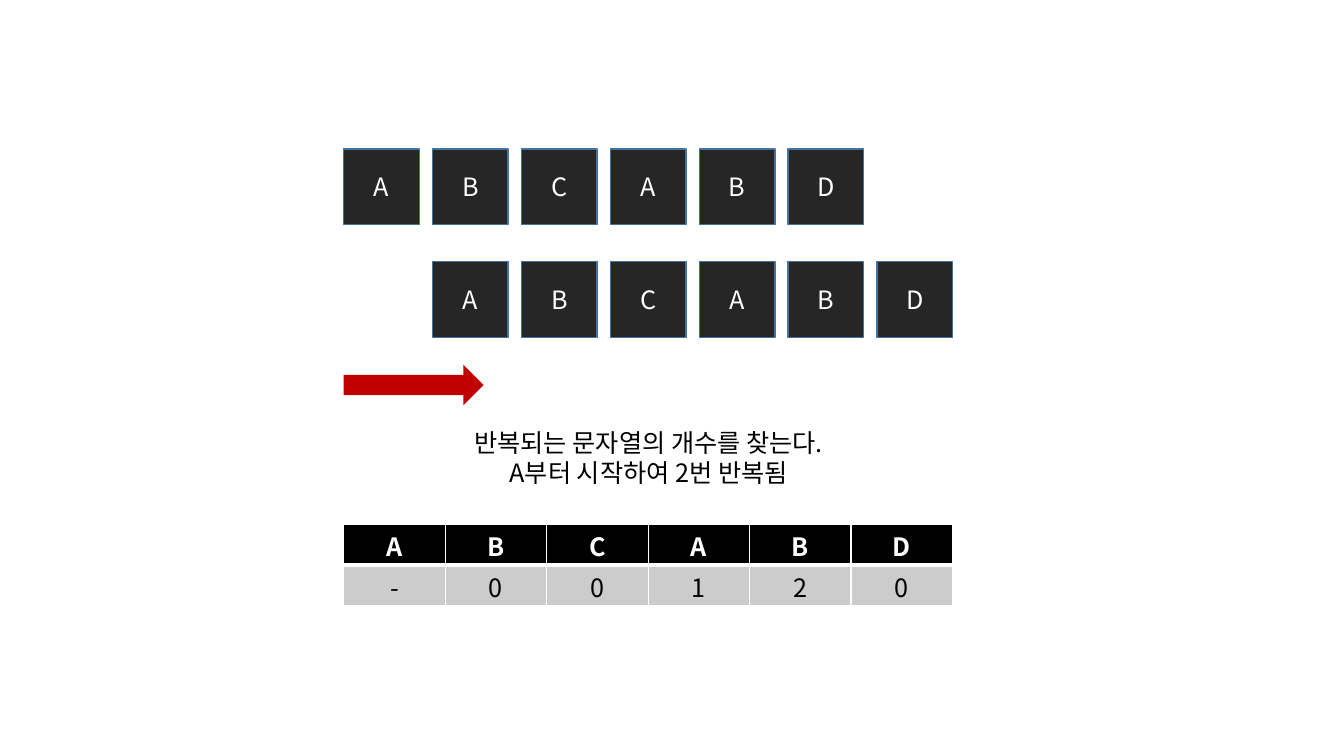
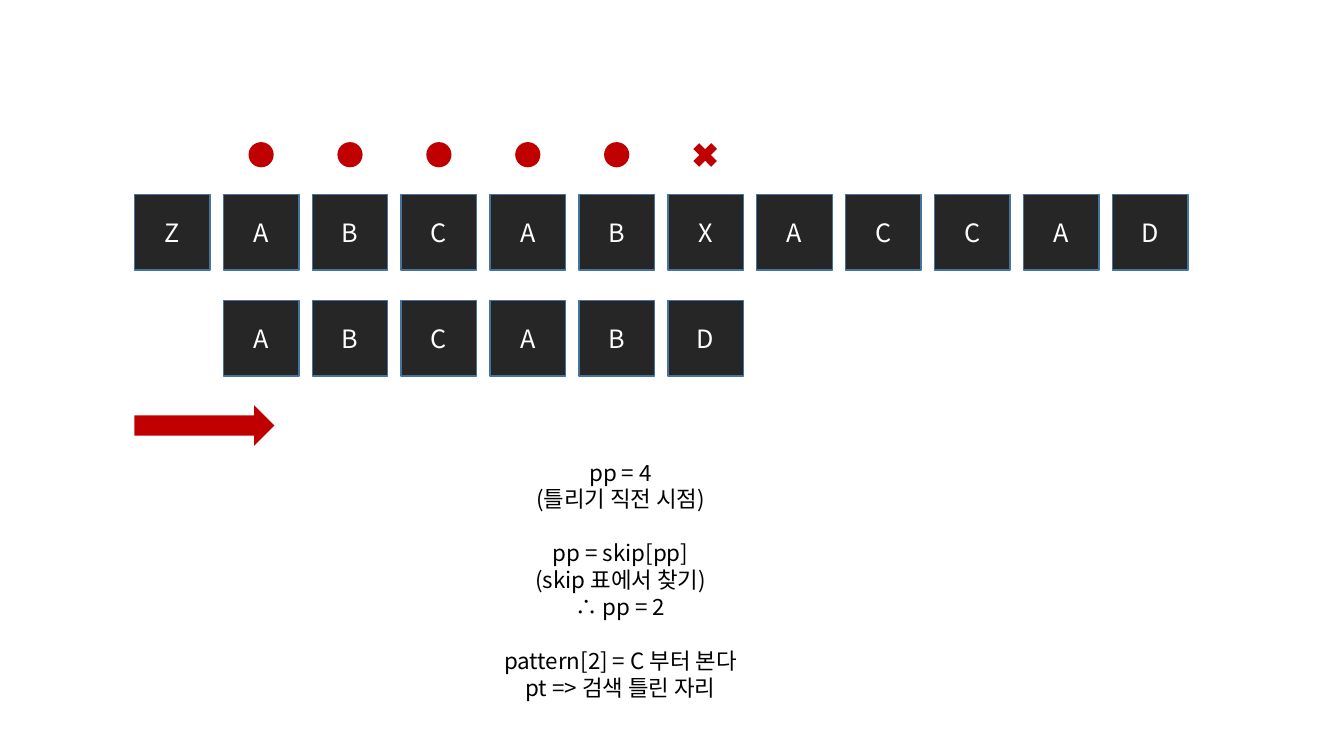
from dataclasses import dataclass

from lxml.etree import SubElement
from pptx import Presentation
from pptx.dml.color import RGBColor
from pptx.enum.shapes import MSO_SHAPE as Preset
from pptx.enum.text import MSO_ANCHOR as Anchor, MSO_AUTO_SIZE as AutoSize, PP_ALIGN as Align
from pptx.oxml.ns import qn
from pptx.util import Emu, Pt

EMU_PER_PX = 6350  # a 1920 x 1080 px canvas
SLIDE_SIZE = 1920, 1080
BLANK_LAYOUT = 6

TILE = 108
TILE_PITCH = 127
ARROW_SIZE = 200, 58
DOT = 36
CROSS = 49

PATTERN = "ABCABD"
SEARCHED_TEXT = "ZABCABXACCAD"
SKIP_COUNTS = "-00120"


@dataclass(frozen=True)
class Theme:
    font: str = "Noto Sans CJK KR"
    ink: str = "000000"
    paper: str = "FFFFFF"
    tile: str = "262626"
    tile_edge: str = "43739E"
    accent: str = "C00000"
    count_fill: str = "CCCCCC"
    body: int = 18
    note: int = 16
    body_leading: float = 22
    note_leading: float = 19.25
    edge: int = 1
    header_edge: int = 3


THEME = Theme()


def px(*lengths):
    return [Emu(length * EMU_PER_PX) for length in lengths]


def rgb(code):
    return RGBColor.from_string(code)


def write(paragraph, text, color, size=THEME.body, leading=None, bold=False):
    paragraph.alignment = Align.CENTER
    paragraph.line_spacing = leading and Pt(leading)
    run = paragraph.add_run()
    run.text = text
    for name, value in dict(name=THEME.font, size=Pt(size), bold=bold).items():
        setattr(run.font, name, value)
    run.font.color.rgb = rgb(color)
    # East Asian glyphs need their own typeface entry
    SubElement(run.font._element, qn("a:ea"), typeface=THEME.font)


def add_preset(slide, preset, box, fill, edge=None):
    shape = slide.shapes.add_shape(preset, *px(*box))
    shape.shadow.inherit = False
    shape.fill.solid()
    shape.fill.fore_color.rgb = rgb(fill)
    if edge:
        shape.line.color.rgb = rgb(edge)
        shape.line.width = Pt(THEME.edge)
    else:
        shape.line.fill.background()
    return shape


def add_tiles(slide, letters, left, top):
    for column, letter in enumerate(letters):
        box = left + column * TILE_PITCH, top, TILE, TILE
        tile = add_preset(slide, Preset.RECTANGLE, box, THEME.tile, THEME.tile_edge)
        tile.text_frame.vertical_anchor = Anchor.MIDDLE
        write(tile.text_frame.paragraphs[0], letter, THEME.paper)


def add_shift_arrow(slide, left, top):
    add_preset(slide, Preset.RIGHT_ARROW, (left, top, *ARROW_SIZE), THEME.accent)


def add_match_marks(slide, matches, left, middle):
    """Center a dot over each matching tile and a cross over the next one."""
    marks = [(Preset.OVAL, DOT)] * matches + [(Preset.MATH_MULTIPLY, CROSS)]
    for column, (preset, size) in enumerate(marks):
        x = left + column * TILE_PITCH + (TILE - size) // 2
        add_preset(slide, preset, (x, middle - size // 2, size, size), THEME.accent)


def add_note(slide, box, groups, size, leading):
    """Write groups of lines, set apart by the height of one line."""
    frame = slide.shapes.add_textbox(*px(*box)).text_frame
    frame.word_wrap = True
    frame.auto_size = AutoSize.SHAPE_TO_FIT_TEXT
    paragraph = frame.paragraphs[0]
    for group_index, lines in enumerate(groups):
        for line_index, line in enumerate(lines):
            if group_index or line_index:
                paragraph = frame.add_paragraph()
            if group_index and not line_index:
                paragraph.space_before = Pt(leading)
            write(paragraph, line, THEME.ink, size, leading)


def set_borders(cell, **widths):
    properties = cell._tc.get_or_add_tcPr()
    for side, width in widths.items():
        line = SubElement(properties, qn(f"a:ln{side}"), w=str(Pt(width)))
        fill = SubElement(line, qn("a:solidFill"))
        SubElement(fill, qn("a:srgbClr"), val=THEME.paper)


def add_skip_table(slide, left, top, column_width, row_height):
    rows = [
        (PATTERN, THEME.ink, THEME.paper, True),
        (SKIP_COUNTS, THEME.count_fill, THEME.ink, False),
    ]
    size = column_width * len(PATTERN), row_height * len(rows)
    table = slide.shapes.add_table(len(rows), len(PATTERN), *px(left, top, *size)).table
    margin_top, margin_bottom = px(13, 1)
    for row, (entries, fill, color, is_header) in enumerate(rows):
        top_edge, bottom_edge = THEME.edge, THEME.edge
        if is_header:
            bottom_edge = THEME.header_edge
        else:
            top_edge = THEME.header_edge
        for column, entry in enumerate(entries):
            cell = table.cell(row, column)
            cell.margin_top, cell.margin_bottom = margin_top, margin_bottom
            set_borders(cell, L=THEME.edge, R=THEME.edge, T=top_edge, B=bottom_edge)
            cell.fill.solid()
            cell.fill.fore_color.rgb = rgb(fill)
            write(cell.text_frame.paragraphs[0], entry, color,
                  leading=THEME.body_leading, bold=is_header)


def build_skip_table_slide(slide):
    left = 491
    add_tiles(slide, PATTERN, left, 213)
    add_tiles(slide, PATTERN, left + TILE_PITCH, 374)
    add_shift_arrow(slide, left, 521)
    lines = ["반복되는 문자열의 개수를 찾는다.", "A부터 시작하여 2번 반복됨"]
    add_note(slide, (602, 602, 649, 102), [lines], THEME.body, THEME.body_leading)
    add_skip_table(slide, left, 749, 145, 58)


def build_search_slide(slide):
    left = 192
    pattern_left = left + TILE_PITCH
    add_tiles(slide, SEARCHED_TEXT, left, 278)
    add_tiles(slide, PATTERN, pattern_left, 429)
    add_shift_arrow(slide, left, 579)
    add_match_marks(slide, 5, pattern_left, 221)
    groups = [
        ["pp = 4", "(틀리기 직전 시점)"],
        ["pp = skip[pp]", "(skip 표에서 찾기)", "∴ pp = 2"],
        ["pattern[2] = C 부터 본다", "pt => 검색 틀린 자리"],
    ]
    add_note(slide, (562, 648, 649, 363), groups, THEME.note, THEME.note_leading)


def main():
    deck = Presentation()
    deck.slide_width, deck.slide_height = px(*SLIDE_SIZE)
    for build in (build_skip_table_slide, build_search_slide):
        build(deck.slides.add_slide(deck.slide_layouts[BLANK_LAYOUT]))
    deck.save("out.pptx")


if __name__ == "__main__":
    main()
